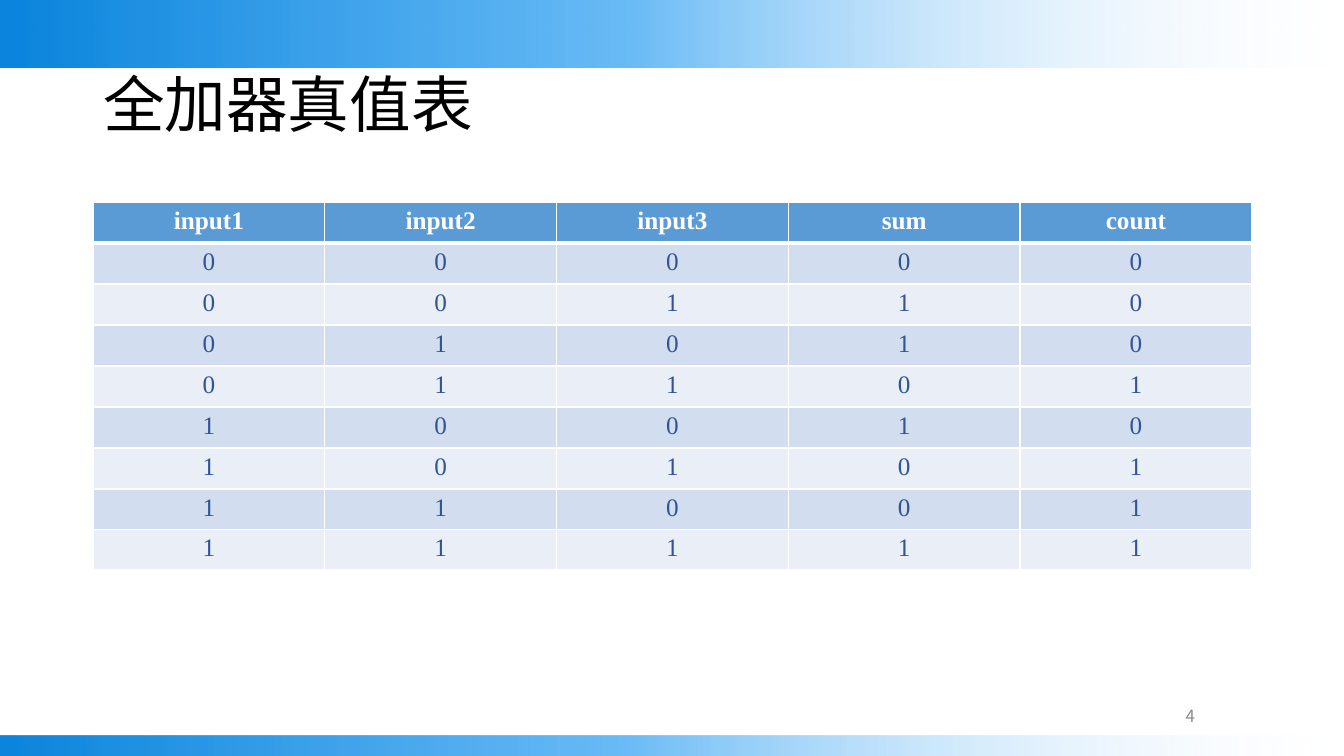
from itertools import product

from lxml.etree import SubElement
from pptx import Presentation
from pptx.dml.color import RGBColor
from pptx.enum.shapes import MSO_SHAPE
from pptx.enum.text import MSO_ANCHOR, PP_ALIGN
from pptx.oxml import parse_xml
from pptx.oxml.ns import nsdecls, qn
from pptx.util import Pt

SCALE = 914400 / 100.8
SERIF, SANS = "Times New Roman", "Noto Sans CJK SC"
# Gradient stops: position %, colour, opacity %
STOPS = [(0, "FFFFFF", 0), (54, "1394F0", 63), (100, "0A84DC", 100)]


def px(n):
    return round(n * SCALE)


def color(code):
    return RGBColor.from_string(code)


def style(par, name, size, code, align, bold=False):
    par.alignment = align
    font = par.font
    font.name, font.size, font.bold = name, Pt(size), bold
    font.color.rgb = color(code)


def add_band(slide, x, y, w, h):
    """Bar drawn upright and turned so that its top points left."""
    shift = (w - h) // 2
    bar = slide.shapes.add_shape(
        MSO_SHAPE.RECTANGLE, px(x + shift), px(y - shift), px(h), px(w))
    bar.rotation = 270
    bar.shadow.inherit = False
    bar.line.fill.background()
    stops = "".join(
        f'<a:gs pos="{pos * 1000}"><a:srgbClr val="{code}">'
        f'<a:alpha val="{alpha * 1000}"/></a:srgbClr></a:gs>'
        for pos, code, alpha in STOPS)
    fill = parse_xml(
        f'<a:gradFill {nsdecls("a")} rotWithShape="1"><a:gsLst>{stops}</a:gsLst>'
        '<a:lin ang="16200000" scaled="0"/></a:gradFill>')
    bar.element.spPr.find(qn("a:prstGeom")).addnext(fill)


def add_title(slide, text, x, y, w, h):
    title = slide.shapes.title
    title.left, title.top, title.width, title.height = map(px, (x, y, w, h))
    frame = title.text_frame
    frame.text = text
    frame.vertical_anchor = MSO_ANCHOR.MIDDLE
    par = frame.paragraphs[0]
    par.line_spacing = 0.9
    style(par, SERIF, 44, "000000", PP_ALIGN.LEFT)


def add_edges(cell, top, low):
    props = cell._tc.get_or_add_tcPr()
    for side, width in zip("LRTB", (1, 1, top, low)):
        line = SubElement(props, qn(f"a:ln{side}"), w=str(Pt(width)))
        fill = SubElement(line, qn("a:solidFill"))
        SubElement(fill, qn("a:srgbClr"), val="FFFFFF")


def add_truth(slide, x, y, w, heights):
    """Truth table of a full adder, worked out from its three inputs."""
    rows = [("input1", "input2", "input3", "sum", "count")]
    for bits in product((0, 1), repeat=3):
        total = sum(bits)
        rows.append((*bits, total % 2, total // 2))
    frame = slide.shapes.add_table(
        len(rows), len(rows[0]), px(x), px(y), px(w), px(sum(heights)))
    table = frame.table
    for col in table.columns:
        col.width = px(w / len(rows[0]))
    for r, (values, height) in enumerate(zip(rows, heights)):
        table.rows[r].height = px(height)
        head = r == 0
        back = "5B9BD5" if head else ("EAEFF7", "D2DEEF")[r % 2]
        for c, value in enumerate(values):
            cell = table.cell(r, c)
            cell.text = str(value)
            style(cell.text_frame.paragraphs[0], SERIF, 18,
                  "FFFFFF" if head else "2F5597", PP_ALIGN.CENTER, head)
            add_edges(cell, 3 if r == 1 else 1, 3 if head else 1)
            cell.fill.solid()
            cell.fill.fore_color.rgb = color(back)


def add_number(slide, text, x, y, w, h):
    frame = slide.shapes.add_textbox(px(x), px(y), px(w), px(h)).text_frame
    frame.word_wrap = True
    frame.vertical_anchor = MSO_ANCHOR.MIDDLE
    frame.margin_top = frame.margin_bottom = px(5)
    frame.margin_left, frame.margin_right = 0, px(21)
    frame.text = text
    style(frame.paragraphs[0], SANS, 12, "888888", PP_ALIGN.RIGHT)


def main():
    deck = Presentation()
    deck.slide_width, deck.slide_height = px(1344), px(756)
    slide = deck.slides.add_slide(deck.slide_layouts[5])
    # Bands along the top and bottom edges
    add_band(slide, -2, -2, 1377, 69)
    add_band(slide, -10, 736, 1377, 69)
    # Page number, title and table
    add_number(slide, "4", 1181, 701, 35, 30)
    add_title(slide, "全加器真值表", 93, 35, 1159, 146)
    add_truth(slide, 93, 202, 1159, [41] * 7 + [38] * 2)
    deck.save("out.pptx")


if __name__ == "__main__":
    main()
